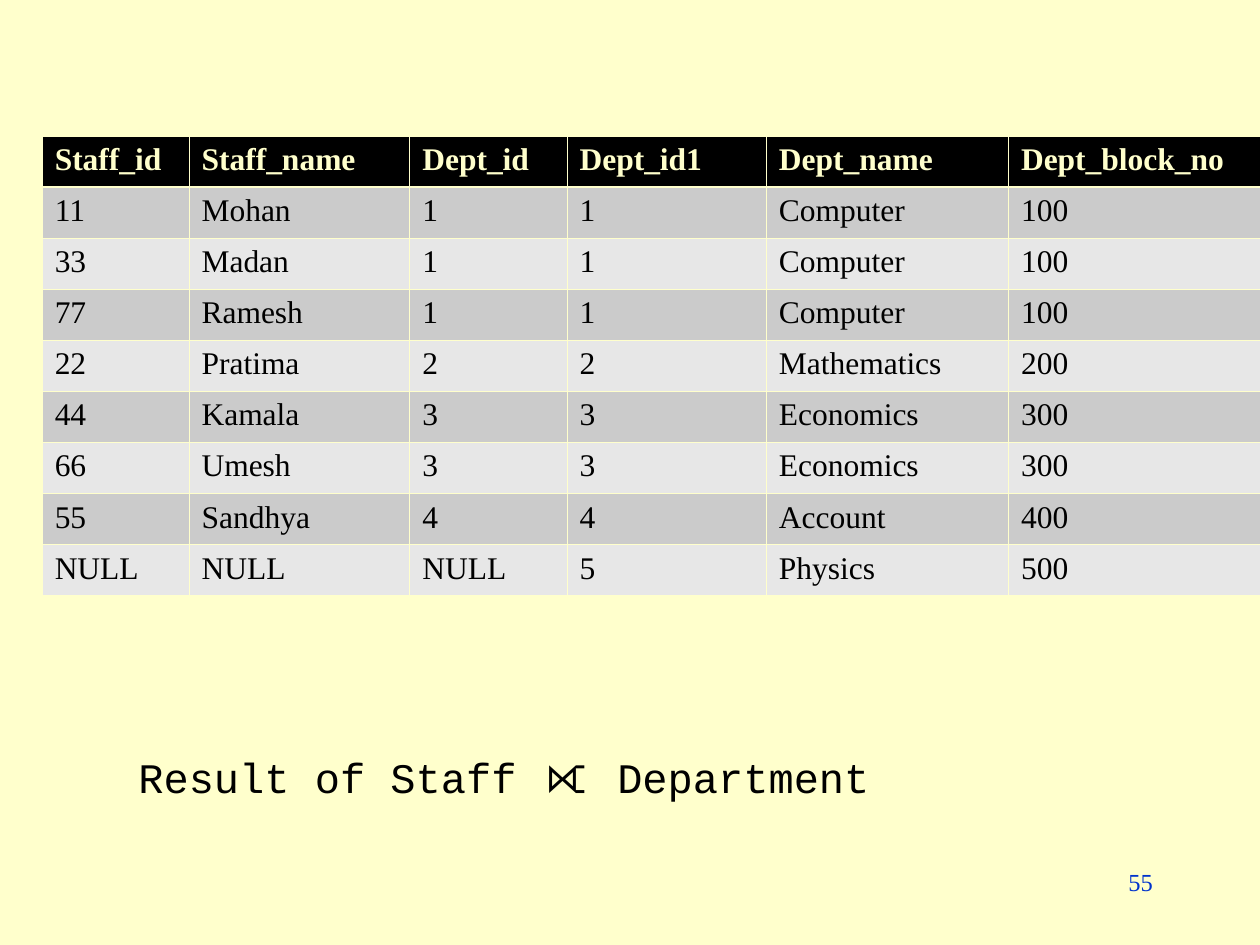
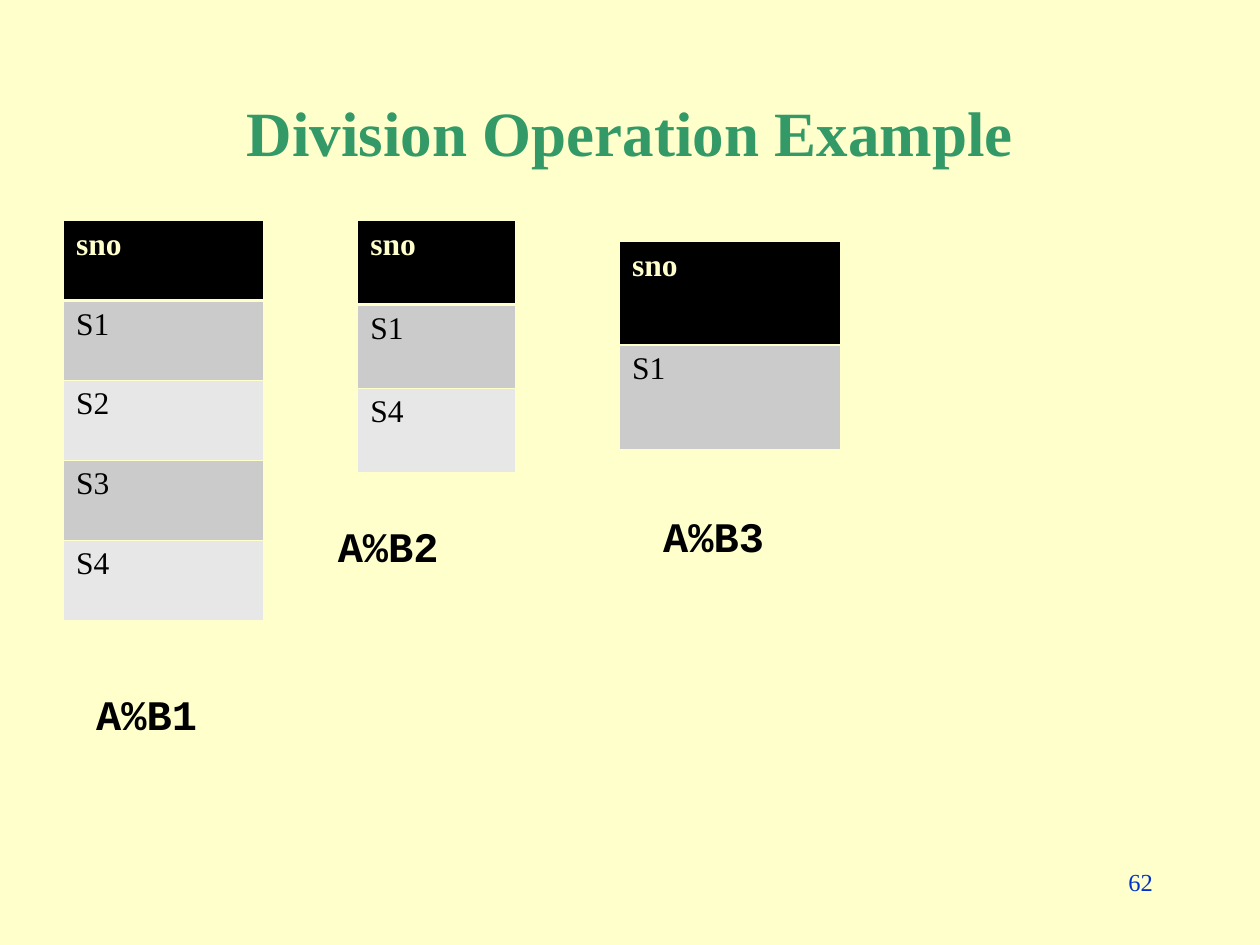
import pptx
import pptx.util
import pptx.dml.color
import pptx.enum.text
from lxml import etree
from pptx.util import Cm, Pt

# Shared look
CREAM, BLACK, GREEN, BLUE = "FFFFCC", "000000", "339966", "0033CC"
BANDS = ("CBCBCB", "E7E7E7")
SERIF, MONO = "Times New Roman", "Courier New"
THIN, THICK = 0.45, 1.47
ALIGN = pptx.enum.text.PP_ALIGN
ANCHOR = pptx.enum.text.MSO_ANCHOR

# Content: tables are (left, top, column widths, row height, rows) in cm
JOIN = (0.85, 2.74, (2.96, 4.45, 3.17, 4.02, 4.88, 5.08), 1.03, [
    ("Staff_id", "Staff_name", "Dept_id", "Dept_id1", "Dept_name", "Dept_block_no"),
    ("11", "Mohan", "1", "1", "Computer", "100"),
    ("33", "Madan", "1", "1", "Computer", "100"),
    ("77", "Ramesh", "1", "1", "Computer", "100"),
    ("22", "Pratima", "2", "2", "Mathematics", "200"),
    ("44", "Kamala", "3", "3", "Economics", "300"),
    ("66", "Umesh", "3", "3", "Economics", "300"),
    ("55", "Sandhya", "4", "4", "Account", "400"),
    ("NULL", "NULL", "NULL", "5", "Physics", "500"),
])
JOIN_NOTE = "Result of Staff ⟖ Department"

# Each quotient: table, then label with its left and top
QUOTIENTS = [
    ((1.28, 4.45, (4.02,), 1.61, [("sno",), ("S1",), ("S2",), ("S3",), ("S4",)]),
     ("A%B1", 1.69, 13.76)),
    ((7.21, 4.45, (3.18,), 1.69, [("sno",), ("S1",), ("S4",)]),
     ("A%B2", 6.56, 10.37)),
    ((12.49, 4.87, (4.45,), 2.09, [("sno",), ("S1",)]),
     ("A%B3", 13.12, 10.16)),
]


def paint(hue):
    return pptx.dml.color.RGBColor.from_string(hue)


def write(frame, text, size, face, hue, bold=False, align=ALIGN.LEFT):
    para = frame.paragraphs[0]
    para.alignment = align
    run = para.add_run()
    run.text = text
    font = run.font
    font.size, font.name, font.bold = Pt(size), face, bold
    font.color.rgb = paint(hue)


def add_text(slide, box, text, size, face, hue, wrap=True, **style):
    frame = slide.shapes.add_textbox(*map(Cm, box)).text_frame
    frame.word_wrap = wrap
    write(frame, text, size, face, hue, **style)


def add_edge(cell, side, width):
    props = cell._tc.get_or_add_tcPr()
    tag = "{http://schemas.openxmlformats.org/drawingml/2006/main}"
    line = etree.SubElement(props, f"{tag}ln{side}", w=str(Pt(width)))
    fill = etree.SubElement(line, tag + "solidFill")
    etree.SubElement(fill, tag + "srgbClr", val=CREAM)


def add_grid(slide, left, top, widths, height, rows):
    grid = slide.shapes.add_table(
        len(rows), len(widths), Cm(left), Cm(top),
        Cm(sum(widths)), Cm(height * len(rows))).table
    for col, width in zip(grid.columns, widths):
        col.width = Cm(width)
    for r, row in enumerate(rows):
        grid.rows[r].height = Cm(height)
        head = r == 0
        for c, text in enumerate(row):
            cell = grid.cell(r, c)
            # The rule under the header is heavier
            edges = {"L": THIN, "R": THIN, "T": THICK if r == 1 else THIN,
                     "B": THICK if head else THIN}
            for side, width in edges.items():
                add_edge(cell, side, width)
            cell.fill.solid()
            cell.fill.fore_color.rgb = paint(BLACK if head else BANDS[(r - 1) % 2])
            write(cell.text_frame, text, 18, SERIF, CREAM if head else BLACK, bold=head)


def add_page(deck, number, title=None):
    slide = deck.slides.add_slide(deck.slide_layouts[5 if title else 6])
    if title:
        shape = slide.shapes.title
        shape.left, shape.top, shape.width, shape.height = map(Cm, (1.9, 1.7, 21.6, 1.9))
        shape.text_frame.vertical_anchor = ANCHOR.MIDDLE
        write(shape.text_frame, title, 36, SERIF, GREEN, bold=True, align=ALIGN.CENTER)
    add_text(slide, (18.21, 17.35, 5.28, 1.27), str(number), 14, SERIF, BLUE,
             align=ALIGN.RIGHT)
    return slide


def main():
    deck = pptx.Presentation()
    deck.slide_width, deck.slide_height = Cm(25.4), Cm(19.05)
    back = deck.slide_master.background.fill
    back.solid()
    back.fore_color.rgb = paint(CREAM)

    # Outer join result
    slide = add_page(deck, 55)
    add_grid(slide, *JOIN)
    add_text(slide, (2.54, 15.03, 15.24, 1.27), JOIN_NOTE, 24, MONO, BLACK, wrap=False)

    # Division quotients
    slide = add_page(deck, 62, "Division Operation Example")
    for table, (label, left, top) in QUOTIENTS:
        add_grid(slide, *table)
        add_text(slide, (left, top, 3.6, 1.27), label, 24, MONO, BLACK, bold=True)

    deck.save("out.pptx")


if __name__ == "__main__":
    main()
